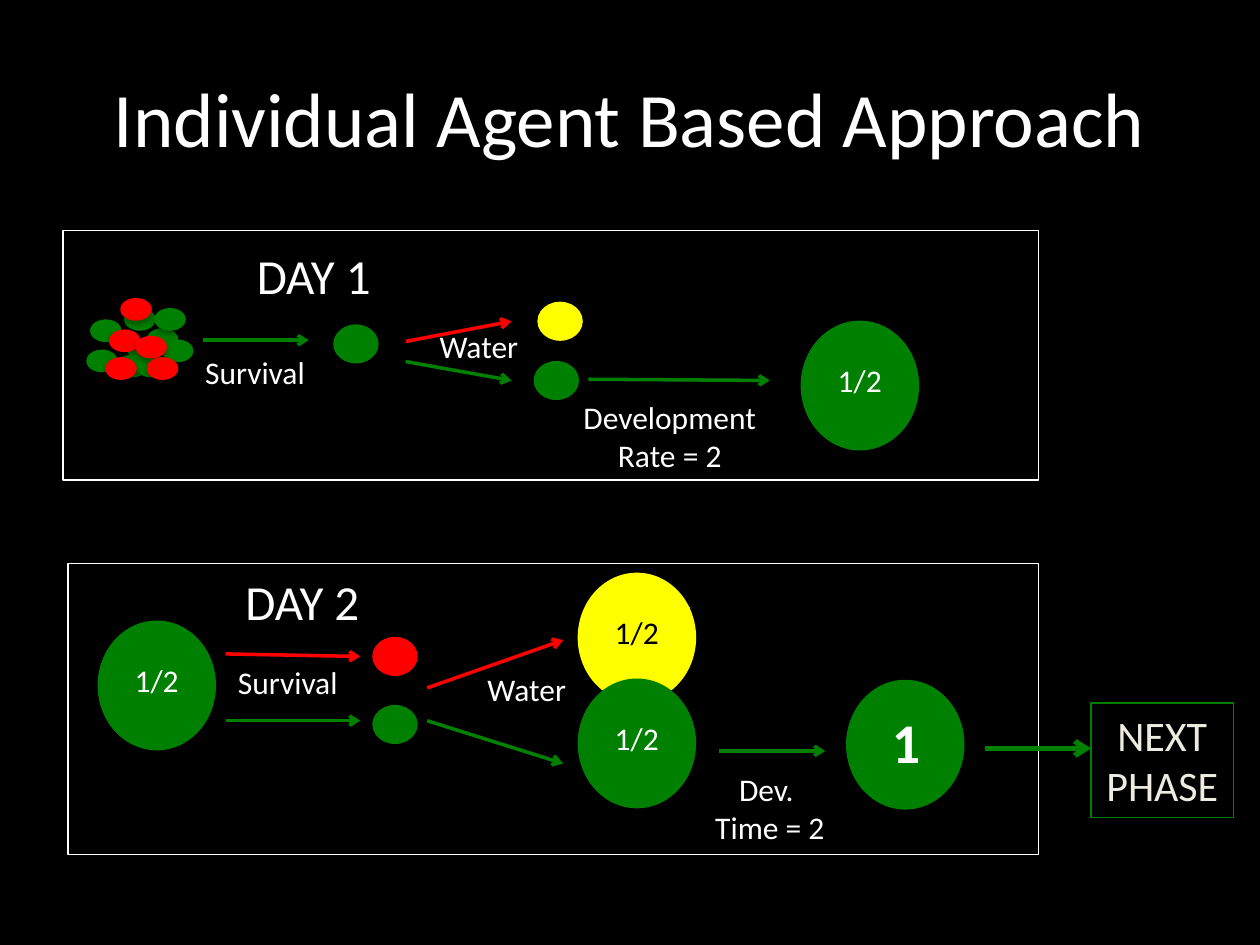
from lxml.etree import SubElement
from pptx import Presentation
from pptx.dml.color import RGBColor
from pptx.enum.shapes import MSO_CONNECTOR, MSO_SHAPE
from pptx.enum.text import MSO_ANCHOR, PP_ALIGN
from pptx.oxml.ns import qn
from pptx.util import Inches, Pt

THEME = {
    "font": "Calibri",
    "back": "000000", "white": "FFFFFF", "cream": "EEECE1",
    "green": "008000", "red": "FF0000", "yellow": "FFFF00",
    "title": 44, "day": 28, "next": 24, "one": 32, "label": 18,
    "edge": 0.75, "arrow": 2, "bold": 3,
}

# The slide is a grid of 10 columns by 7.5 rows; places are (column, row).
COLS, ROWS = 10, 7.5
EGG, DOT, DISK = (0.24, 0.17), (0.35, 0.3), (0.93, 1.02)

TITLE = ("Individual Agent Based Approach", 0.5, 0.3, 9, 1.25)
FRAMES = [(0.5, 1.83, 7.74, 1.98), (0.54, 4.47, 7.7, 2.31)]
DAYS = [("DAY 1", 1.94, 1.9), ("DAY 2", 1.85, 4.49)]
NEXT = ("NEXT\nPHASE", 8.66, 5.58, 1.13, 0.91)

EGGS = {
    "green": [(0.72, 2.54), (0.69, 2.78), (1.02, 2.7), (0.99, 2.45),
              (0.93, 2.82), (1.17, 2.61), (1.29, 2.7), (1.08, 2.82),
              (1.23, 2.45)],
    "red": [(0.87, 2.62), (1.08, 2.67), (1.17, 2.84), (0.84, 2.84),
            (0.96, 2.37)],
}
DOTS = [
    ("green", 2.65, 2.58), ("green", 4.24, 2.87), ("yellow", 4.27, 2.4),
    ("red", 2.96, 5.06), ("green", 2.96, 5.6),
]
DISKS = [
    ("1/2", "green", 6.36, 2.55), ("1/2", "green", 0.78, 4.93),
    ("1/2", "yellow", 4.59, 4.55), ("1/2", "green", 4.59, 5.39),
    ("1", "green", 6.72, 5.4),
]
LABELS = [
    ("Survival", 1.53, 2.75, 1, 0.4), ("Water", 3.39, 2.55, 0.85, 0.4),
    ("Development \nRate = 2", 4.52, 3.11, 1.59, 0.71),
    ("Survival", 1.79, 5.21, 1, 0.4), ("Water", 3.77, 5.27, 0.85, 0.4),
    ("Dev. \nTime = 2", 5.57, 6.06, 1.08, 0.71),
]
# Colour, weight, start, end
ARROWS = [
    ("green", "arrow", (1.61, 2.7), (2.45, 2.7)),
    ("red", "arrow", (3.22, 2.71), (4.06, 2.55)),
    ("green", "arrow", (3.22, 2.87), (4.06, 3.02)),
    ("green", "arrow", (4.67, 3.01), (6.11, 3.02)),
    ("red", "arrow", (1.79, 5.19), (2.86, 5.21)),
    ("green", "arrow", (1.79, 5.72), (2.86, 5.72)),
    ("red", "arrow", (3.39, 5.46), (4.47, 5.08)),
    ("green", "arrow", (3.39, 5.72), (4.47, 6.06)),
    ("green", "arrow", (5.71, 5.96), (6.55, 5.96)),
    ("green", "bold", (7.82, 5.94), (8.66, 5.94)),
]

deck = Presentation()
deck.slide_width, deck.slide_height = Inches(10), Inches(7.5)
slide = deck.slides.add_slide(deck.slide_layouts[6])
shapes = slide.shapes


def tint(name):
    return RGBColor.from_string(THEME[name])


def place(*cells):
    """Turn alternating columns and rows into slide lengths."""
    units = (deck.slide_width / COLS, deck.slide_height / ROWS)
    return [round(cell * units[i % 2]) for i, cell in enumerate(cells)]


def edge(line, color, weight="edge"):
    line.color.rgb = tint(color)
    line.width = Pt(THEME[weight])


def write(text, *cells, size="label", color="white", align=PP_ALIGN.LEFT,
          bold=False, wrap=True, anchor=MSO_ANCHOR.TOP, fill=None, line=None):
    box = shapes.add_textbox(*place(*cells))
    if fill:
        box.fill.solid()
        box.fill.fore_color.rgb = tint(fill)
    if line:
        edge(box.line, line)
    frame = box.text_frame
    frame.word_wrap, frame.vertical_anchor = wrap, anchor
    frame.text = text
    for para in frame.paragraphs:
        para.alignment = align
        for run in para.runs:
            font = run.font
            font.name, font.size = THEME["font"], Pt(THEME[size])
            font.bold, font.color.rgb = bold, tint(color)


def oval(color, left, top, size):
    # The theme's soft shadow stays, to part ovals that overlap.
    form = shapes.add_shape(MSO_SHAPE.OVAL, *place(left, top, *size))
    form.fill.solid()
    form.fill.fore_color.rgb = tint(color)
    edge(form.line, color)


def disk(text, color, left, top):
    oval(color, left, top, DISK)
    if text == "1":
        write(text, left + 0.26, top + 0.17, 0.69, 0.64, size="one", bold=True)
    else:
        pale = color == "yellow"
        write(text, left + 0.19, top + 0.27, 0.69, 0.4,
              color="back" if pale else "white",
              fill=color if pale else None, line=color if pale else None)


def arrow(color, weight, start, end):
    link = shapes.add_connector(MSO_CONNECTOR.STRAIGHT, *place(*start, *end))
    edge(link.line, color, weight)
    SubElement(link.line._get_or_add_ln(), qn("a:tailEnd"), type="arrow")
    SubElement(link._element.spPr, qn("a:effectLst"))


# Background and title
slide.background.fill.solid()
slide.background.fill.fore_color.rgb = tint("back")
write(*TITLE, size="title", align=PP_ALIGN.CENTER, anchor=MSO_ANCHOR.MIDDLE)

# Day frames and headings
for cells in FRAMES:
    frame = shapes.add_shape(MSO_SHAPE.RECTANGLE, *place(*cells))
    frame.fill.background()
    frame.shadow.inherit = False
    edge(frame.line, "white")
for text, left, top in DAYS:
    write(text, left, top, 1.2, 0.57, size="day")

# Agents: the egg cluster, single dots and grown disks
for color, spots in EGGS.items():
    for left, top in spots:
        oval(color, left, top, EGG)
for color, left, top in DOTS:
    oval(color, left, top, DOT)
for item in DISKS:
    disk(*item)

# Steps between agents
for item in ARROWS:
    arrow(*item)
for item in LABELS:
    align = PP_ALIGN.CENTER if "\n" in item[0] else PP_ALIGN.LEFT
    write(*item, align=align, wrap=False)

# Exit to the next phase
write(*NEXT, size="next", color="cream", align=PP_ALIGN.CENTER, line="green")

deck.save("out.pptx")
